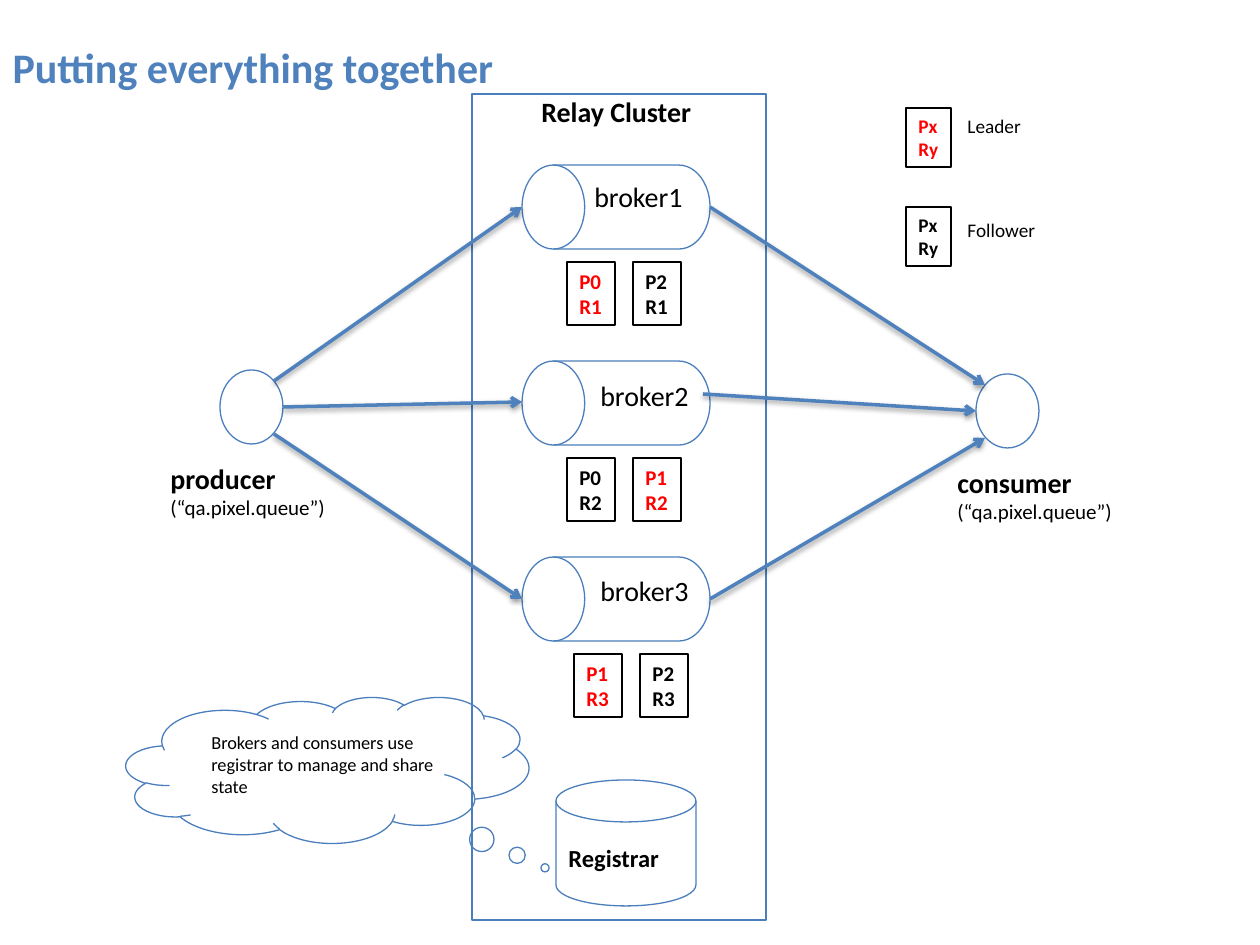
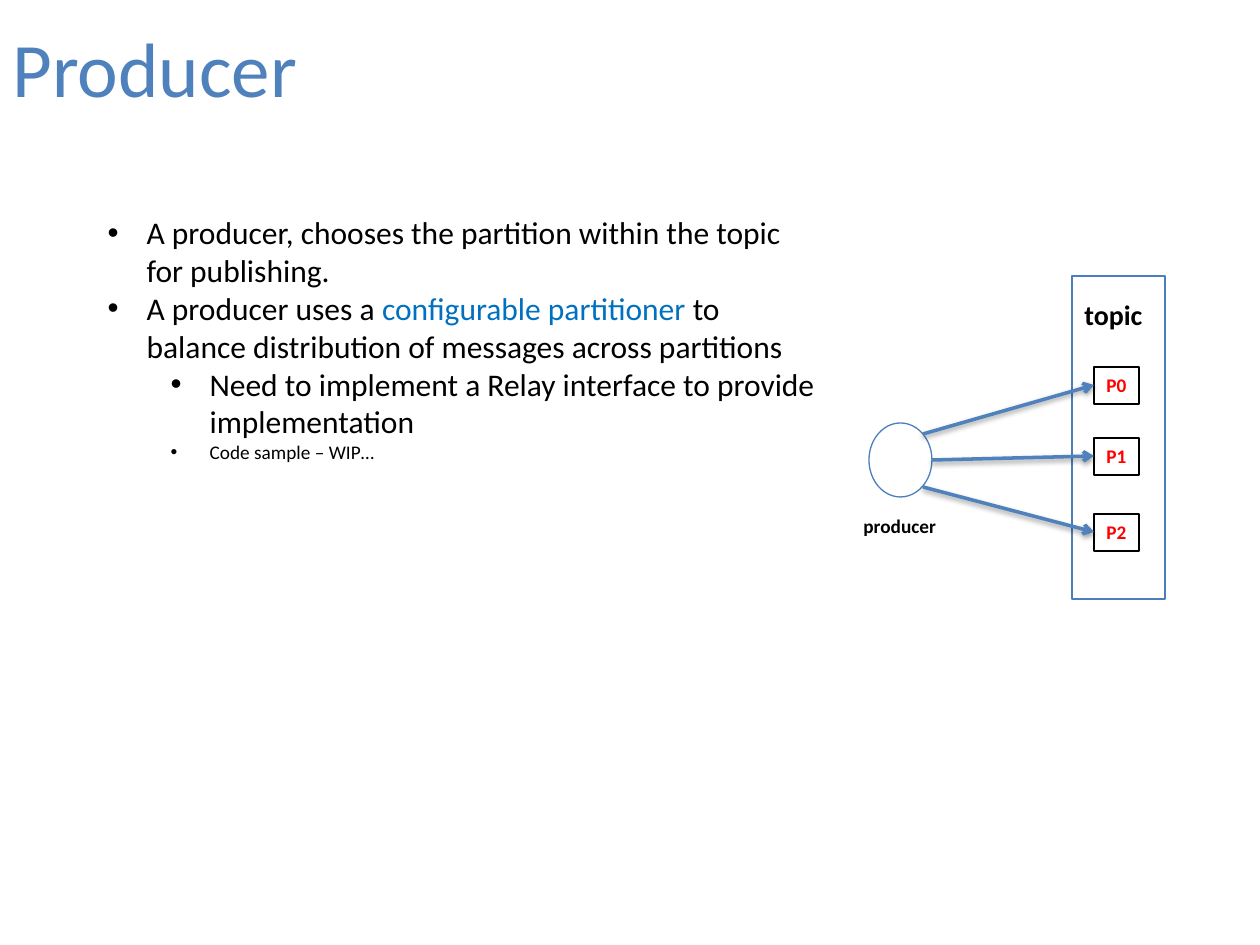
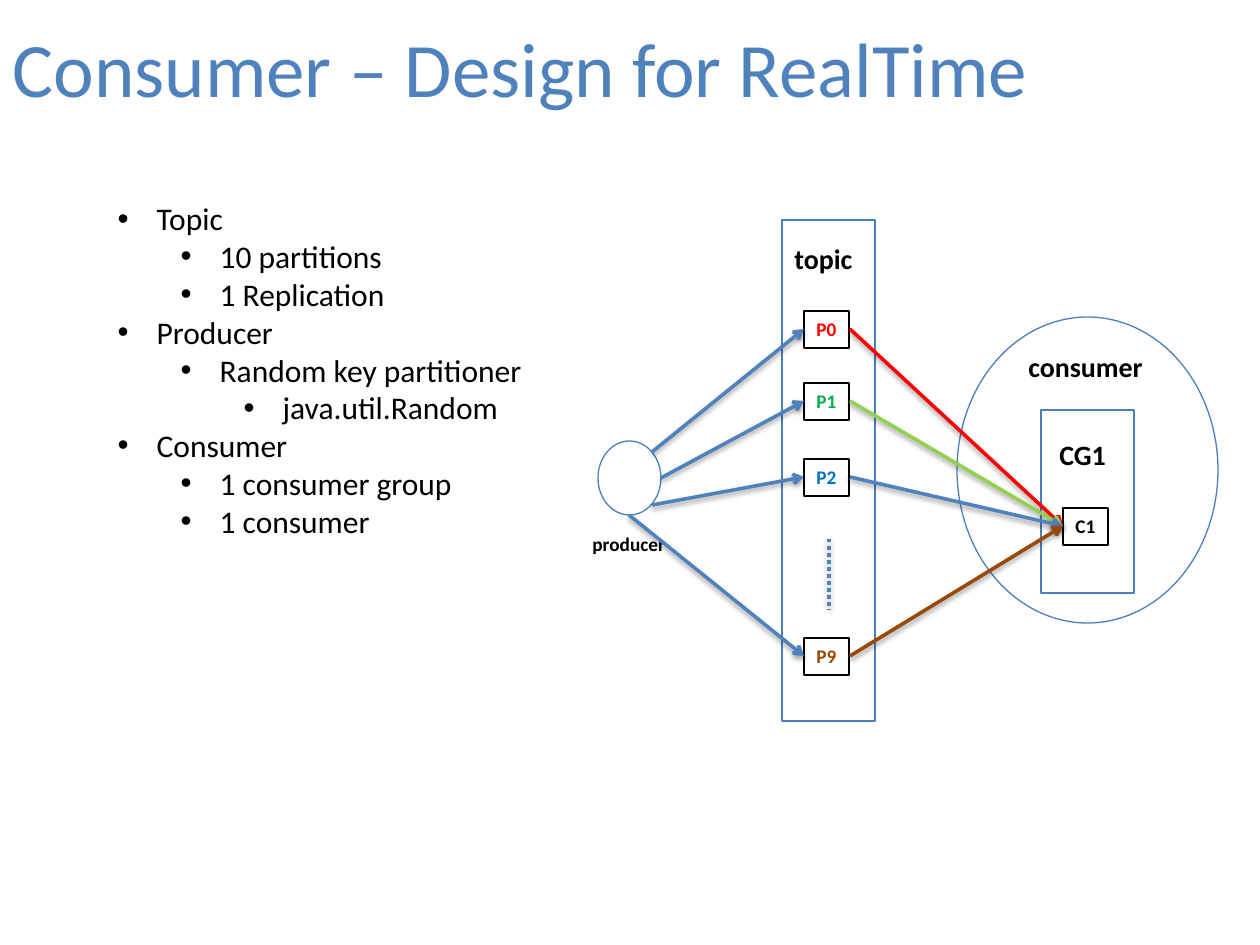
from lxml.etree import SubElement
from pptx import Presentation
from pptx.dml.color import RGBColor
from pptx.enum.dml import MSO_LINE
from pptx.enum.shapes import MSO_CONNECTOR, MSO_SHAPE
from pptx.enum.text import MSO_ANCHOR, MSO_AUTO_SIZE, PP_ALIGN
from pptx.oxml import parse_xml
from pptx.oxml.ns import nsdecls, qn
from pptx.util import Emu, Inches, Pt

SCALE = 914400 / 126
FONT = "Calibri"
BLUE, OUTLINE, BLACK, RED = "4F81BD", "4B7EBC", "000000", "FF0000"
GREEN, LIME, SKY, BROWN = "00B050", "92D050", "0070C0", "984807"
TITLE_ONLY, TITLE_AND_BODY = 5, 1
NODE_W, NODE_H = 63, 74
# Points on the rim of a node, measured from its top left corner
RIGHT, UPPER_RIGHT, LOWER_RIGHT, BOTTOM = (63, 37), (54, 11), (54, 64), (31, 74)
LEFT, UPPER_LEFT, LOWER_LEFT = (0, 37), (9, 11), (9, 64)
PARTITION_W, PARTITION_H = 45, 37
SHADOW = (
    f'<a:effectLst {nsdecls("a")}><a:outerShdw blurRad="40000" dist="20000" '
    'dir="5400000" rotWithShape="0"><a:srgbClr val="000000">'
    '<a:alpha val="38000"/></a:srgbClr></a:outerShdw></a:effectLst>'
)


def px(value):
    """Turn pixels into EMU."""
    return Emu(round(value * SCALE))


def rgb(value):
    """Turn a hex string into a colour."""
    return RGBColor.from_string(value)


def add_run(p, text, size, color=BLACK, bold=False):
    """Append one formatted run to a paragraph."""
    r = p.add_run()
    r.text = text
    for name, value in {"name": FONT, "size": Pt(size), "bold": bold}.items():
        setattr(r.font, name, value)
    r.font.color.rgb = rgb(color)


def paragraphs(tf, count):
    """Return the given number of paragraphs of an empty text frame."""
    return [tf.paragraphs[0]] + [tf.add_paragraph() for _ in range(count - 1)]


def place(sp, x, y, w, h):
    """Set the position and size of a shape."""
    for name, value in {"left": x, "top": y, "width": w, "height": h}.items():
        setattr(sp, name, px(value))


def add_slide(prs, layout, title, size=44, bold=False):
    """Add a slide with the shared title style."""
    s = prs.slides.add_slide(prs.slide_layouts[layout])
    sp = s.shapes.title
    place(sp, 0, 38, 1123, 58)
    tf = sp.text_frame
    tf.auto_size = MSO_AUTO_SIZE.NONE
    tf.vertical_anchor = MSO_ANCHOR.MIDDLE
    p = tf.paragraphs[0]
    p.alignment = PP_ALIGN.LEFT
    add_run(p, title, size, BLUE, bold)
    return s


def add_bullets(s, x, y, w, h, items):
    """Fill the body with (level, size, ((text, color), ...)) bullets."""
    sp = s.placeholders[1]
    place(sp, x, y, w, h)
    tf = sp.text_frame
    tf.auto_size = MSO_AUTO_SIZE.SHAPE_TO_FIT_TEXT
    for p, (level, size, runs) in zip(paragraphs(tf, len(items)), items):
        p.level = level
        p.space_before = Pt(0)
        pPr = p._p.get_or_add_pPr()
        pPr.set("marL", str(Inches(0.31 + 0.5 * level)))
        pPr.set("indent", str(Inches(-0.31)))
        SubElement(pPr, qn("a:buFont")).set("typeface", "Arial")
        SubElement(pPr, qn("a:buChar")).set("char", "•")
        for text, color in runs:
            add_run(p, text, size, color)


def add_label(s, x, y, w, h, lines, wrap=False):
    """Add a text box with one (text, size, color, bold) tuple per line."""
    sp = s.shapes.add_textbox(px(x), px(y), px(w), px(h))
    tf = sp.text_frame
    tf.word_wrap = wrap
    tf.auto_size = MSO_AUTO_SIZE.SHAPE_TO_FIT_TEXT
    for p, line in zip(paragraphs(tf, len(lines)), lines):
        add_run(p, *line)
    return sp


def add_box(s, x, y, w, h, texts, size, color=BLACK):
    """Add a black-framed box with bold lines of text."""
    sp = add_label(s, x, y, w, h, [(t, size, color, True) for t in texts])
    sp.line.color.rgb = rgb(BLACK)
    sp.line.width = Pt(0.75)


def add_outline(s, kind, x, y, w, h):
    """Add an unfilled preset shape with a thin blue line."""
    sp = s.shapes.add_shape(kind, px(x), px(y), px(w), px(h))
    sp.shadow.inherit = False
    sp.fill.background()
    sp.line.color.rgb = rgb(OUTLINE)
    sp.line.width = Pt(0.75)
    return sp


def add_line(s, start, end, color=BLUE, dotted=False):
    """Add a shadowed line: an arrow, or a dotted line without a head."""
    sp = s.shapes.add_connector(MSO_CONNECTOR.STRAIGHT, *map(px, start + end))
    sp.line.color.rgb = rgb(color)
    sp.line.width = Pt(2)
    if dotted:
        sp.line.dash_style = MSO_LINE.ROUND_DOT
    else:
        SubElement(sp.line._get_or_add_ln(), qn("a:tailEnd")).set("type", "arrow")
    sp._element.spPr.append(parse_xml(SHADOW))


def add_node(s, x, y):
    """Add the ellipse that stands for a client."""
    add_outline(s, MSO_SHAPE.OVAL, x, y, NODE_W, NODE_H)


def rim(node, point):
    """Return a rim point of the node in slide pixels."""
    return node[0] + point[0], node[1] + point[1]


def add_client(s, x, y, name, label_x):
    """Add a client node with its name and queue below it."""
    add_node(s, x, y)
    add_label(s, label_x, y + 85, 181, 72,
              [(name, 16, BLACK, True), ("(“qa.pixel.queue”)", 12)])


def add_producer(s, x, y):
    """Add a producer node with a small name below it."""
    add_node(s, x, y)
    add_label(s, x - 18, y + 85, 98, 37, [("producer", 11, BLACK, True)])


def add_partition(s, x, y, name, color):
    """Add a partition box and return the middles of its left and right sides."""
    add_box(s, x, y, PARTITION_W, PARTITION_H, [name], 11, color)
    middle = y + PARTITION_H // 2
    return (x, middle), (x + PARTITION_W + 1, middle)


def add_topic(s, x, y, h, partitions):
    """Add a topic column; return the side points of its partitions."""
    add_outline(s, MSO_SHAPE.RECTANGLE, x, y, 93, h)
    add_label(s, x, y + 15, 84, 47, [("topic", 16, BLACK, True)])
    return [add_partition(s, x + 22, y + dy, name, color)
            for name, dy, color in partitions]


def add_broker(s, y, name, label_x, label_y, replicas, replica_x):
    """Add a broker drum, its name and its (partition, replica, color) boxes."""
    drum = add_outline(s, MSO_SHAPE.FLOWCHART_DIRECT_ACCESS_STORAGE, 522, y, 188, 84)
    drum.rotation = 180
    for i, (partition, replica, color) in enumerate(replicas):
        add_box(s, replica_x + 66 * i, y + 97, 48, 63, [partition, replica], 12, color)
    add_label(s, label_x, label_y, 115, 47, [(name, 16)])


def cluster_slide(prs):
    """Build the overview of clients, brokers and coordinator."""
    s = add_slide(prs, TITLE_ONLY, "Putting everything together", 24, True)
    add_outline(s, MSO_SHAPE.RECTANGLE, 472, 94, 294, 826)
    add_label(s, 529, 88, 179, 47, [("Relay Cluster", 16, BLACK, True)])
    brokers = [
        ("broker1", 582, 173, [("P0", "R1", RED), ("P2", "R1", BLACK)], 567),
        ("broker2", 588, 372, [("P0", "R2", BLACK), ("P1", "R2", RED)], 567),
        ("broker3", 588, 567, [("P1", "R3", RED), ("P2", "R3", BLACK)], 574),
    ]
    for i, broker in enumerate(brokers):
        add_broker(s, 165 + 196 * i, *broker)
    add_outline(s, MSO_SHAPE.FLOWCHART_MAGNETIC_DISK, 556, 780, 140, 126)
    add_label(s, 556, 837, 136, 43, [("Registrar", 14, BLACK, True)])

    legend = [("Leader", RED, 108, 108, 79), ("Follower", BLACK, 207, 212, 95)]
    for name, color, box_y, label_y, w in legend:
        add_box(s, 906, box_y, 45, 59, ["Px", "Ry"], 11, color)
        add_label(s, 955, label_y, w, 37, [(name, 11)])

    producer, consumer = (220, 370), (976, 374)
    add_client(s, *producer, "producer", 158)
    add_client(s, *consumer, "consumer", 945)
    for point, y in (UPPER_RIGHT, 207), (RIGHT, 402), (LOWER_RIGHT, 599):
        add_line(s, rim(producer, point), (522, y))
    for start, point in (((710, 207), UPPER_LEFT), ((703, 394), LEFT),
                         ((710, 599), LOWER_LEFT)):
        add_line(s, start, rim(consumer, point))

    cloud = add_outline(s, MSO_SHAPE.CLOUD_CALLOUT, 126, 697, 403, 146)
    cloud.adjustments[0], cloud.adjustments[1] = 0.54, 0.67
    note = "Brokers and consumers use registrar to manage and share state"
    add_label(s, 199, 725, 262, 79, [(note, 10.5)], wrap=True)


def producer_slide(prs):
    """Build the slide on how a producer picks partitions."""
    s = add_slide(prs, TITLE_AND_BODY, "Producer")
    add_bullets(s, 95, 207, 735, 265, [
        (0, 18, [("A producer, chooses the partition within the topic for publishing.",
                  BLACK)]),
        (0, 18, [("A producer uses a ", BLACK), ("configurable partitioner ", SKY),
                 ("to balance distribution of messages across partitions", BLACK)]),
        (1, 18, [("Need to implement a Relay interface to provide implementation",
                  BLACK)]),
        (1, 11, [("Code sample – WIP…", BLACK)]),
    ])
    sides = add_topic(s, 1072, 276, 323,
                      [("P0", 91, RED), ("P1", 162, RED), ("P2", 238, RED)])
    producer = (869, 423)
    add_producer(s, *producer)
    for point, (left, _) in zip((UPPER_RIGHT, RIGHT, LOWER_RIGHT), sides):
        add_line(s, rim(producer, point), left)


def consumer_slide(prs):
    """Build the slide on the real-time consumer."""
    s = add_slide(prs, TITLE_AND_BODY, "Consumer – Design for RealTime")
    outline = [
        (0, "Topic"), (1, "10 partitions"), (1, "1 Replication"),
        (0, "Producer"), (1, "Random key partitioner"), (2, "java.util.Random"),
        (0, "Consumer"), (1, "1 consumer group"), (1, "1 consumer"),
    ]
    add_bullets(s, 105, 193, 475, 357,
                [(level, 18, [(text, BLACK)]) for level, text in outline])
    sides = add_topic(s, 782, 220, 501, [("P0", 91, RED), ("P1", 163, GREEN),
                                         ("P2", 239, SKY), ("P9", 418, BROWN)])
    add_line(s, (829, 539), (829, 610), dotted=True)

    producer = (598, 441)
    add_producer(s, *producer)
    add_outline(s, MSO_SHAPE.RECTANGLE, 1041, 410, 93, 183)
    group_member, _ = add_partition(s, 1063, 508, "C1", BLACK)
    add_label(s, 1047, 431, 73, 47, [("CG1", 16, BLACK, True)])
    add_label(s, 1016, 343, 141, 47, [("consumer", 16, BLACK, True)])
    add_outline(s, MSO_SHAPE.OVAL, 957, 317, 261, 306)

    points = (UPPER_RIGHT, RIGHT, LOWER_RIGHT, BOTTOM)
    colors = (RED, LIME, BLUE, BROWN)
    for point, color, (left, right) in zip(points, colors, sides):
        add_line(s, rim(producer, point), left)
        add_line(s, right, group_member, color)


def main():
    """Build and save the presentation."""
    prs = Presentation()
    prs.slide_width, prs.slide_height = Inches(10), Inches(7.5)
    cluster_slide(prs)
    producer_slide(prs)
    consumer_slide(prs)
    prs.save("out.pptx")


main()
